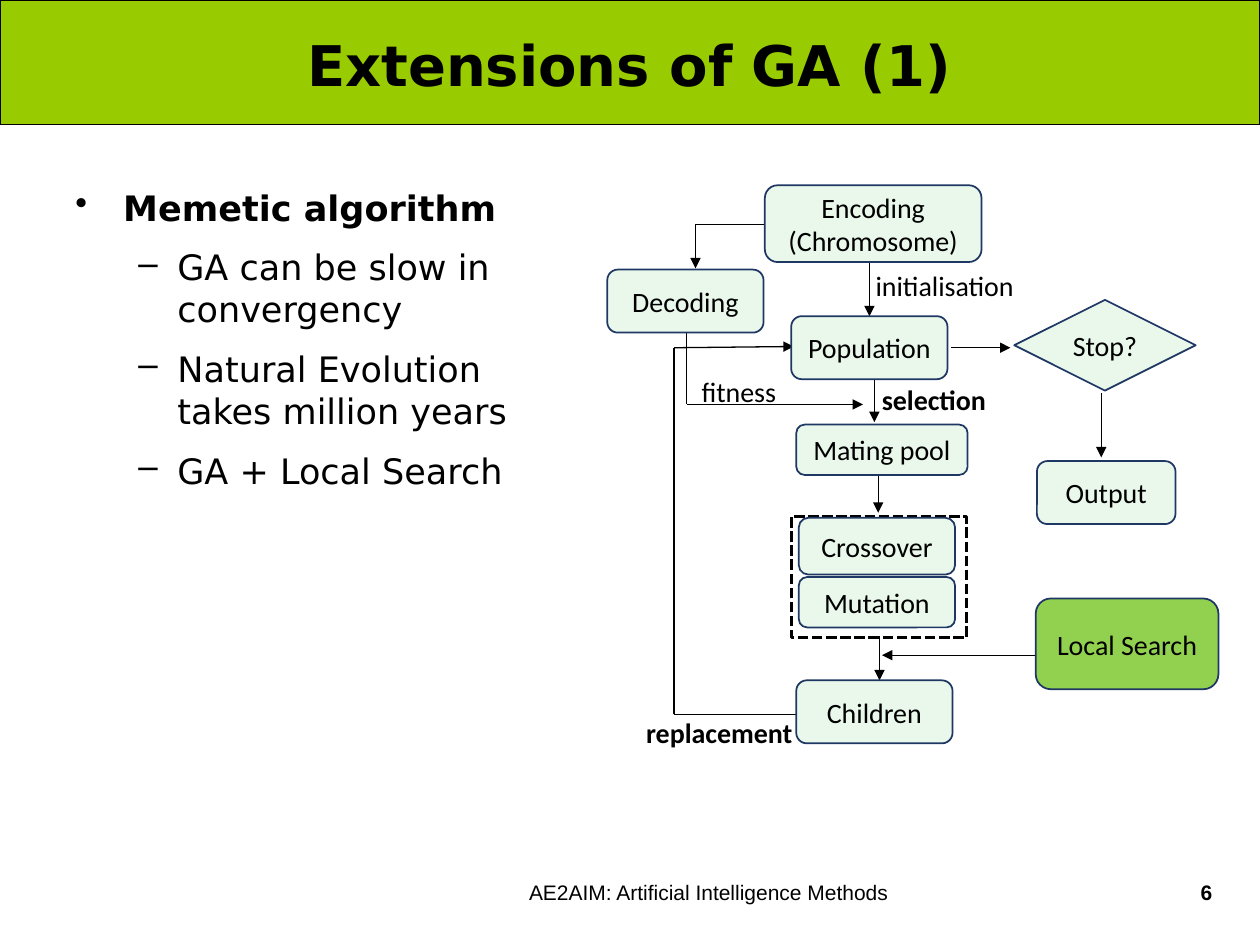
import dataclasses

import lxml.etree
import pptx
import pptx.dml.color
import pptx.enum.dml
import pptx.enum.shapes
import pptx.enum.text
import pptx.oxml.ns
import pptx.util

Inches = pptx.util.Inches
Shape = pptx.enum.shapes.MSO_SHAPE
Align = pptx.enum.text.PP_ALIGN
Anchor = pptx.enum.text.MSO_ANCHOR
qn = pptx.oxml.ns.qn


@dataclasses.dataclass(frozen=True)
class Theme:
    ink: str = "000000"
    banner: str = "99CC00"
    step: str = "E9F8EB"
    highlight: str = "92D050"
    outline: str = "1F3763"
    heading_font: str = "DejaVu Sans"
    diagram_font: str = "Calibri"
    footer_font: str = "Arial"
    title_size: int = 32
    body_size: int = 20
    diagram_size: int = 16
    footer_size: int = 12


theme = Theme()


def rgb(value):
    return pptx.dml.color.RGBColor.from_string(value)


def write_text(shape, *lines, size=theme.diagram_size, font=theme.diagram_font,
               bold=False, align=Align.LEFT, anchor=Anchor.TOP, side_inset=0.1):
    frame = shape.text_frame
    frame.word_wrap = True
    frame.vertical_anchor = anchor
    frame.margin_left = frame.margin_right = Inches(side_inset)
    for index, line in enumerate(lines):
        paragraph = frame.add_paragraph() if index else frame.paragraphs[0]
        paragraph.alignment = align
        run = paragraph.add_run()
        run.text = line
        run.font.size = pptx.util.Pt(size)
        run.font.name = font
        run.font.bold = bold
        run.font.color.rgb = rgb(theme.ink)
    return frame


deck = pptx.Presentation()
deck.slide_width, deck.slide_height = Inches(10), Inches(7.5)
slide = deck.slides.add_slide(deck.slide_layouts[6])
shapes = slide.shapes

# Title banner
banner = shapes.add_shape(Shape.RECTANGLE, 0, 0, Inches(10), Inches(0.99))
banner.shadow.inherit = False
banner.fill.solid()
banner.fill.fore_color.rgb = rgb(theme.banner)
banner.line.color.rgb = rgb(theme.ink)
banner.line.width = pptx.util.Pt(0.75)
title = shapes.add_textbox(Inches(0.35), Inches(0.02), Inches(9.29), Inches(0.98))
write_text(title, "Extensions of GA (1)", size=theme.title_size, font=theme.heading_font,
           bold=True, align=Align.CENTER, anchor=Anchor.MIDDLE)

# Bulleted points
points = shapes.add_textbox(Inches(0.5), Inches(1.43), Inches(3.64), Inches(4.89))
points_frame = write_text(
    points, "Memetic algorithm", "GA can be slow in convergency",
    "Natural Evolution takes million years", "GA + Local Search",
    size=theme.body_size, font=theme.heading_font)
for index, point in enumerate(points_frame.paragraphs):
    indent, hanging, bullet = (0.81, 0.31, "–") if index else (0.38, 0.38, "•")
    properties = point._p.get_or_add_pPr()
    properties.set("marL", str(Inches(indent)))
    properties.set("indent", str(-Inches(hanging)))
    lxml.etree.SubElement(properties, qn("a:buChar"), char=bullet)
    if index:
        point.level = 1
        point.space_before = pptx.util.Pt(10)
    else:
        point.runs[0].font.bold = True

# Footer and page number
footer = shapes.add_textbox(Inches(2.87), Inches(6.93), Inches(5.51), Inches(0.52))
write_text(footer, "AE2AIM: Artificial Intelligence Methods", size=theme.footer_size,
           font=theme.footer_font, align=Align.CENTER)
page_number = shapes.add_textbox(Inches(8.62), Inches(6.93), Inches(1.1), Inches(0.52))
write_text(page_number, "6", size=theme.footer_size, font=theme.footer_font,
           bold=True, align=Align.RIGHT)

# Dashed frame around the genetic operators
operators = shapes.add_shape(Shape.RECTANGLE, Inches(6.28), Inches(4.1),
                             Inches(1.39), Inches(0.96))
operators.shadow.inherit = False
operators.fill.background()
operators.line.color.rgb = rgb(theme.ink)
operators.line.width = pptx.util.Pt(2)
operators.line.dash_style = pptx.enum.dml.MSO_LINE.SQUARE_DOT

# Connections: start, end, arrowhead
connections = [
    ((6.07, 1.78), (5.52, 1.78), False),  # encoding to decoding
    ((5.52, 1.78), (5.52, 2.13), True),
    ((5.45, 2.64), (5.45, 3.21), False),  # decoding to selection
    ((5.45, 3.21), (6.85, 3.21), True),
    ((6.9, 2.08), (6.9, 2.51), True),  # down the main flow
    ((6.94, 3.01), (6.94, 3.35), True),
    ((6.97, 3.77), (6.97, 4.07), True),
    ((6.98, 5.06), (6.98, 5.4), True),
    ((6.32, 5.67), (5.35, 5.67), False),  # children back to population
    ((5.35, 5.67), (5.35, 2.76), False),
    ((5.35, 2.76), (6.3, 2.75), True),
    ((7.55, 2.76), (8.02, 2.76), True),  # stopping
    ((8.74, 3.12), (8.74, 3.63), True),
    ((8.22, 5.2), (7, 5.2), True),  # local search
]
for start, end, has_arrow in connections:
    connection = shapes.add_connector(pptx.enum.shapes.MSO_CONNECTOR.STRAIGHT,
                                      *map(Inches, start + end))
    connection.line.color.rgb = rgb(theme.ink)
    connection.line.width = pptx.util.Pt(0.75)
    if has_arrow:
        lxml.etree.SubElement(connection.line._get_or_add_ln(), qn("a:tailEnd"),
                              type="triangle")
    lxml.etree.SubElement(connection._element.spPr, qn("a:effectLst"))

# Steps of the algorithm: lines of text, left, top, width, height
steps = [
    (["Encoding", "(Chromosome)"], 6.07, 1.47, 1.72, 0.61),
    (["Decoding"], 4.82, 2.14, 1.24, 0.5),
    (["Population"], 6.28, 2.51, 1.24, 0.5),
    (["Stop?"], 8.05, 2.38, 1.44, 0.72),
    (["Mating pool"], 6.32, 3.37, 1.36, 0.4),
    (["Output"], 8.23, 3.66, 1.1, 0.5),
    (["Crossover"], 6.34, 4.11, 1.24, 0.45),
    (["Mutation"], 6.34, 4.58, 1.24, 0.4),
    (["Children"], 6.32, 5.4, 1.24, 0.5),
    (["Local Search"], 8.22, 4.75, 1.45, 0.72),
]
for lines, *place in steps:
    is_decision = lines == ["Stop?"]
    outline = Shape.DIAMOND if is_decision else Shape.ROUNDED_RECTANGLE
    step = shapes.add_shape(outline, *map(Inches, place))
    step.shadow.inherit = False
    step.fill.solid()
    step.fill.fore_color.rgb = rgb(
        theme.highlight if lines == ["Local Search"] else theme.step)
    step.line.color.rgb = rgb(theme.outline)
    step.line.width = pptx.util.Pt(1)
    write_text(step, *lines, align=Align.CENTER, anchor=Anchor.MIDDLE,
               side_inset=0 if is_decision else 0.1)

# Labels beside the connections
for label, left, top, width, bold in [
    ("initialisation", 6.85, 2.08, 1.72, False),
    ("fitness", 5.47, 2.92, 0.86, False),
    ("selection", 6.9, 2.99, 1.13, True),
    ("replacement", 5.03, 5.63, 1.39, True),
]:
    label_box = shapes.add_textbox(Inches(left), Inches(top), Inches(width), Inches(0.4))
    write_text(label_box, label, bold=bold)

deck.save("out.pptx")
